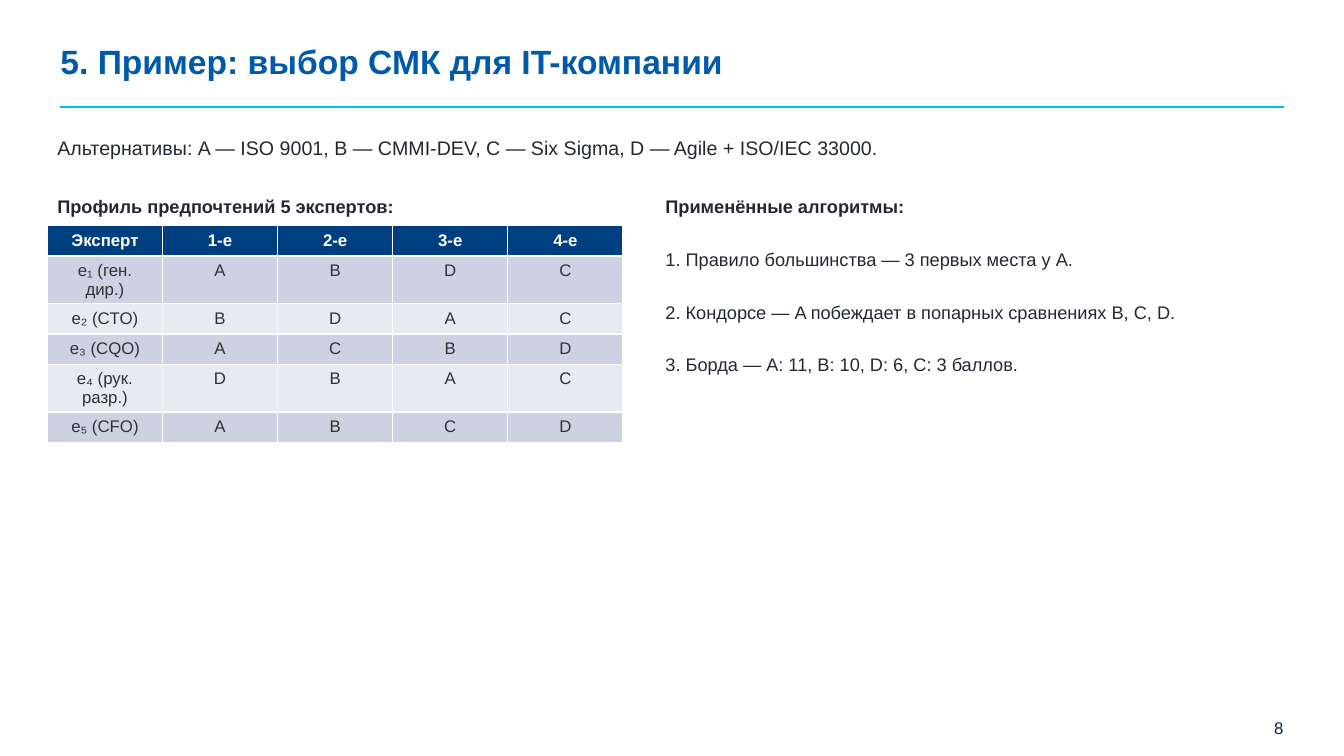
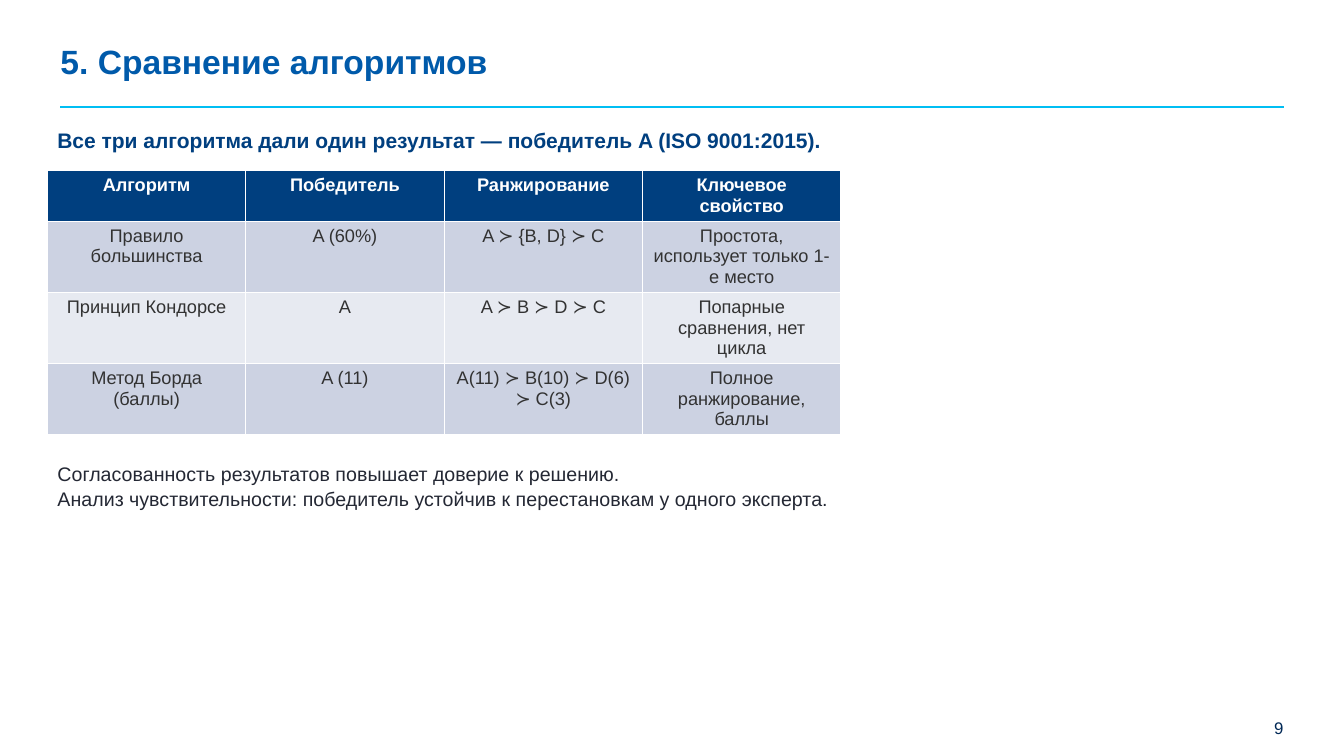
"""Build two slides on choosing a quality system by group voting."""
from dataclasses import dataclass

from lxml import etree
from pptx import Presentation
from pptx.dml.color import RGBColor
from pptx.enum import shapes, text
from pptx.oxml import ns
from pptx.util import Inches, Pt

FONT = "Arial"
INK = {
    "title": "005AAA",
    "rule": "00BEF3",
    "page": "002856",
    "head": "003F7F",
    "text": "242834",
    "cell": "323232",
    "white": "FFFFFF",
    "odd": "CCD2E2",
    "even": "E7EAF1",
}
LEFT = 0.47


@dataclass
class Box:
    x: float
    y: float
    w: float
    h: float

    def place(self, shape) -> None:
        shape.left, shape.top = Inches(self.x), Inches(self.y)
        shape.width, shape.height = Inches(self.w), Inches(self.h)


@dataclass
class Note:
    box: Box
    lines: list[str]
    size: int
    ink: str = "text"
    bold: bool = False
    lead: bool = False
    gap: float = 0


@dataclass
class Grid:
    box: Box
    rows: list[list[str]]
    size: int


@dataclass
class Page:
    num: int
    title: str
    notes: list[Note]
    grid: Grid
    body: Note


def style(para, size: int, ink: str, bold: bool = False) -> None:
    font = para.font
    font.name, font.size, font.bold = FONT, Pt(size), bold
    font.color.rgb = RGBColor.from_string(INK[ink])


def frame(shape, inset: bool = True):
    tf = shape.text_frame
    tf.word_wrap = True
    tf.auto_size = text.MSO_AUTO_SIZE.NONE
    tf.vertical_anchor = text.MSO_ANCHOR.TOP
    if not inset:
        tf.margin_left = tf.margin_right = tf.margin_top = tf.margin_bottom = 0
    return tf


def add_box(slide, box: Box):
    shape = slide.shapes.add_textbox(0, 0, 0, 0)
    box.place(shape)
    return shape


def add_frame(slide, page: Page) -> None:
    title = slide.shapes.title
    Box(0.6, 0.45, 10.51, 0.36).place(title)
    tf = frame(title, inset=False)
    tf.vertical_anchor = text.MSO_ANCHOR.MIDDLE
    tf.text = page.title
    para = tf.paragraphs[0]
    para.alignment = text.PP_ALIGN.LEFT
    para.line_spacing = 0.9
    style(para, 24, "title", True)

    rule = slide.shapes.add_connector(
        shapes.MSO_CONNECTOR.STRAIGHT,
        Inches(0.6), Inches(1.06), Inches(12.73), Inches(1.06))
    rule.line.color.rgb = RGBColor.from_string(INK["rule"])
    rule.line.width = Pt(1.25)
    etree.SubElement(rule._element.spPr, ns.qn("a:effectLst"))

    tf = frame(add_box(slide, Box(10.07, 7.12, 2.66, 0.2)), inset=False)
    tf.text = str(page.num)
    tf.paragraphs[0].alignment = text.PP_ALIGN.RIGHT
    style(tf.paragraphs[0], 12, "page")


def fill_note(shape, note: Note) -> None:
    note.box.place(shape)
    tf = frame(shape)
    tf.text = "\n".join(note.lines)
    for i, para in enumerate(tf.paragraphs):
        para.alignment = text.PP_ALIGN.LEFT
        para.space_before = Pt(note.gap if i else 0)
        props = para._p.get_or_add_pPr()
        props.set("marL", "0")
        props.set("indent", "0")
        etree.SubElement(props, ns.qn("a:buNone"))
        style(para, note.size, note.ink, note.bold or (note.lead and i == 0))


def add_grid(slide, grid: Grid) -> None:
    box, rows = grid.box, grid.rows
    table = slide.shapes.add_table(
        len(rows), len(rows[0]), Inches(box.x), Inches(box.y),
        Inches(box.w), Inches(box.h)).table
    for r, row in enumerate(rows):
        back = "head" if r == 0 else "odd" if r % 2 else "even"
        for c, word in enumerate(row):
            cell = table.cell(r, c)
            cell.fill.solid()
            cell.fill.fore_color.rgb = RGBColor.from_string(INK[back])
            cell.text = word
            para = cell.text_frame.paragraphs[0]
            para.alignment = text.PP_ALIGN.CENTER
            style(para, grid.size, "cell" if r else "white", r == 0)


def add_page(deck, page: Page) -> None:
    slide = deck.slides.add_slide(deck.slide_layouts[1])
    add_frame(slide, page)
    for note in page.notes:
        fill_note(add_box(slide, note.box), note)
    add_grid(slide, page.grid)
    fill_note(slide.placeholders[1], page.body)


PAGES = [
    Page(
        8, "5. Пример: выбор СМК для IT-компании",
        [
            Note(Box(LEFT, 1.3, 12.2, 0.47),
                 ["Альтернативы: A — ISO 9001, B — CMMI-DEV, C — Six Sigma, "
                  "D — Agile + ISO/IEC 33000."], 14),
            Note(Box(LEFT, 1.89, 5.51, 0.3),
                 ["Профиль предпочтений 5 экспертов:"], 13, bold=True),
        ],
        Grid(Box(LEFT, 2.24, 5.71, 1.8), [
            ["Эксперт", "1-е", "2-е", "3-е", "4-е"],
            ["e₁ (ген. дир.)", *"ABDC"],
            ["e₂ (CTO)", *"BDAC"],
            ["e₃ (CQO)", *"ACBD"],
            ["e₄ (рук. разр.)", *"DBAC"],
            ["e₅ (CFO)", *"ABCD"],
        ], 12),
        Note(Box(6.5, 1.89, 6.1, 3.15), [
            "Применённые алгоритмы:",
            "1. Правило большинства — 3 первых места у A.",
            "2. Кондорсе — A побеждает в попарных сравнениях B, C, D.",
            "3. Борда — A: 11, B: 10, D: 6, C: 3 баллов.",
        ], 13, lead=True, gap=22),
    ),
    Page(
        9, "5. Сравнение алгоритмов",
        [
            Note(Box(LEFT, 1.22, 7.87, 0.34),
                 ["Все три алгоритма дали один результат — победитель A "
                  "(ISO 9001:2015)."], 15, "head", True),
        ],
        Grid(Box(LEFT, 1.69, 7.87, 1.97), [
            ["Алгоритм", "Победитель", "Ранжирование", "Ключевое свойство"],
            ["Правило большинства", "A (60%)", "A ≻ {B, D} ≻ C",
             "Простота, использует только 1-е место"],
            ["Принцип Кондорсе", "A", "A ≻ B ≻ D ≻ C",
             "Попарные сравнения, нет цикла"],
            ["Метод Борда (баллы)", "A (11)", "A(11) ≻ B(10) ≻ D(6) ≻ C(3)",
             "Полное ранжирование, баллы"],
        ], 13),
        Note(Box(LEFT, 4.53, 11.81, 1.18), [
            "Согласованность результатов повышает доверие к решению.",
            "Анализ чувствительности: победитель устойчив к перестановкам "
            "у одного эксперта.",
        ], 14, gap=1),
    ),
]


def main() -> None:
    deck = Presentation()
    deck.slide_width, deck.slide_height = Inches(13.33), Inches(7.5)
    for page in PAGES:
        add_page(deck, page)
    deck.save("out.pptx")


if __name__ == "__main__":
    main()
